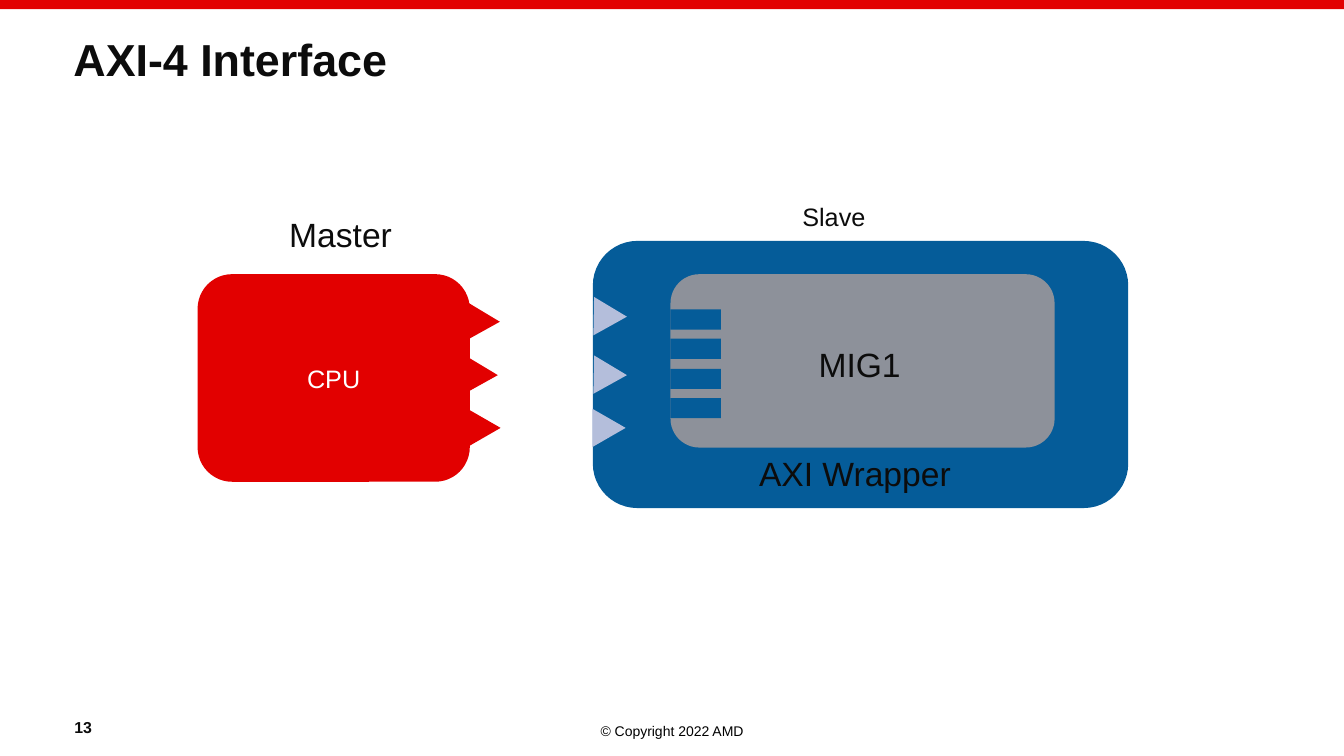
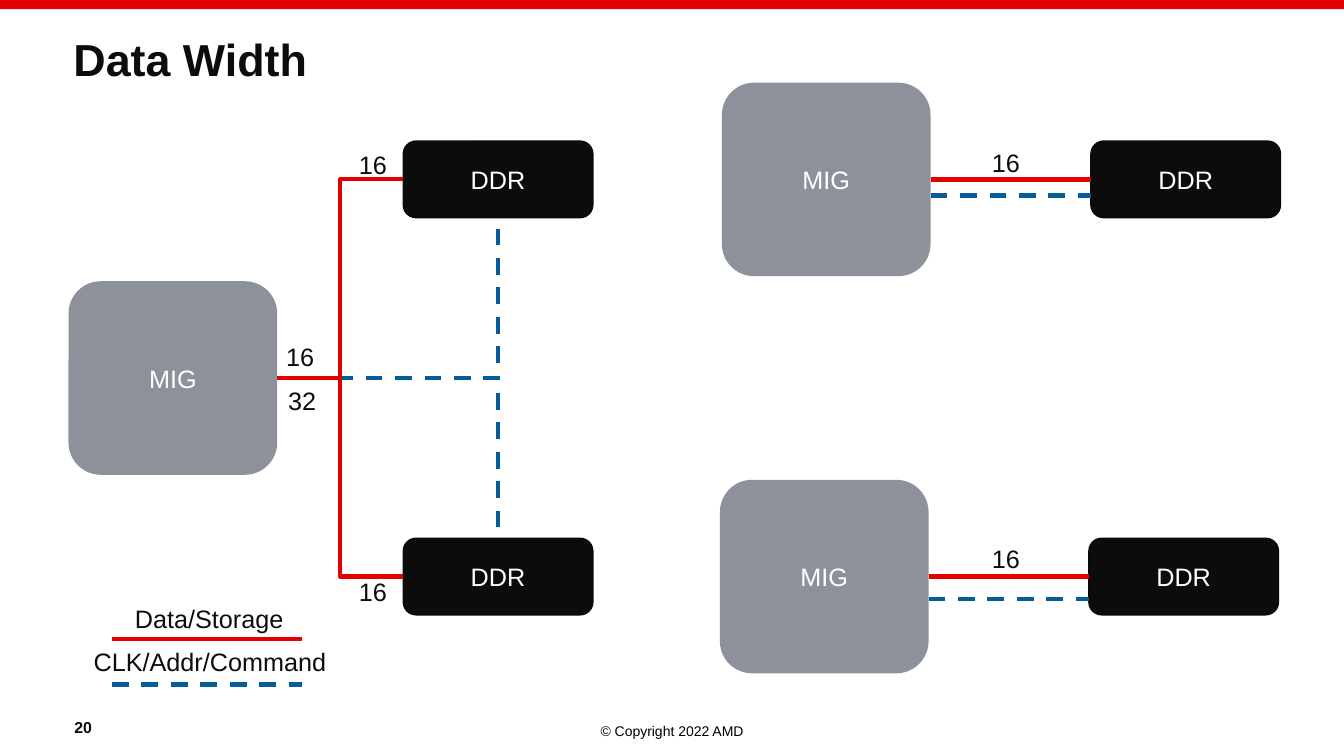
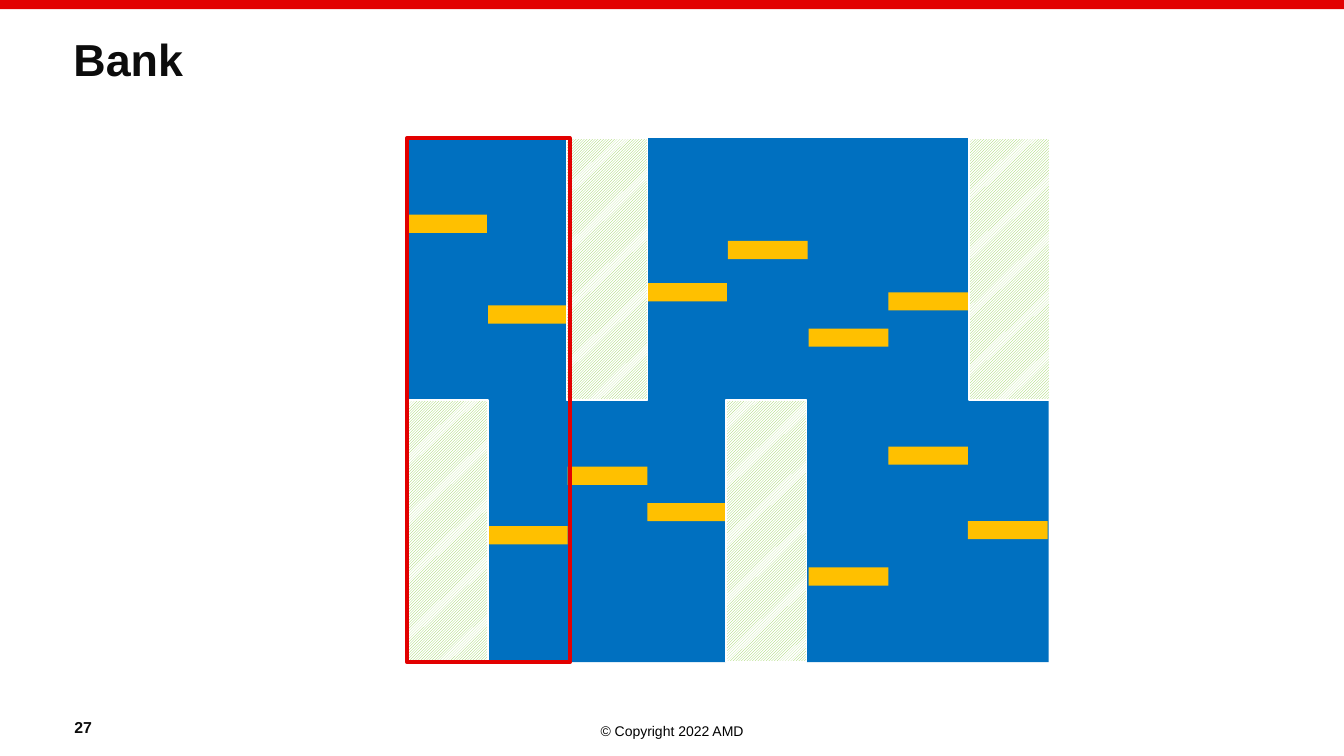
"""Build three slides on memory controllers: AXI-4 interface, data width and bank."""
from lxml.etree import SubElement
from pptx import Presentation
from pptx.dml.color import RGBColor
from pptx.enum.dml import MSO_LINE, MSO_PATTERN
from pptx.enum.shapes import MSO_CONNECTOR, MSO_SHAPE
from pptx.enum.text import MSO_ANCHOR, PP_ALIGN
from pptx.oxml.ns import qn
from pptx.util import Pt

EMU_PER_PX = 9144
SLIDE_WIDTH, SLIDE_HEIGHT = 1333, 750
FONT = "Arial"
COLORS = {
    "red": "E20000", "blue": "055C99", "grey": "8D919A", "ink": "0C0C0C",
    "edge": "090909", "black": "000000", "white": "FFFFFF", "lilac": "B4BEDB",
    "bank": "0070C0", "row": "FFC000", "hatch": "92D050",
}
TOP, LEFT, BOTTOM, RIGHT = range(4)


def px(*lengths):
    return [round(length * EMU_PER_PX) for length in lengths]


def rgb(name):
    return RGBColor.from_string(COLORS[name])


def write(shape, text, size, color, bold=False, align=PP_ALIGN.LEFT, anchor=MSO_ANCHOR.TOP):
    frame = shape.text_frame
    frame.word_wrap = True
    frame.vertical_anchor = anchor
    paragraph = frame.paragraphs[0]
    paragraph.alignment = align
    run = paragraph.add_run()
    run.text = text
    run.font.name = FONT
    run.font.size = Pt(size)
    run.font.bold = bold
    run.font.color.rgb = rgb(color)
    return paragraph


def add_label(slide, box, text, size=18, color="ink", **style):
    return write(slide.shapes.add_textbox(*px(*box)), text, size, color, **style)


def add_block(slide, box, fill=None, kind=MSO_SHAPE.RECTANGLE, line=None, width=1, text=None):
    shape = slide.shapes.add_shape(kind, *px(*box))
    shape.shadow.inherit = False
    if fill:
        shape.fill.solid()
        shape.fill.fore_color.rgb = rgb(fill)
    else:
        shape.fill.background()
    if line:
        shape.line.color.rgb = rgb(line)
        shape.line.width = Pt(width)
    else:
        shape.line.fill.background()
    if text:
        write(shape, text, 18, "white", align=PP_ALIGN.CENTER, anchor=MSO_ANCHOR.MIDDLE)
    return shape


def add_rounded(slide, box, fill, **style):
    return add_block(slide, box, fill, MSO_SHAPE.ROUNDED_RECTANGLE, **style)


def add_port(slide, left, top, rotation, fill):
    port = add_block(slide, (left, top, 38, 33), fill, MSO_SHAPE.ISOSCELES_TRIANGLE)
    port.rotation = rotation


def add_hatch(slide, left, top):
    hatch = add_block(slide, (left, top, 80, 260), line="white")
    hatch.fill.patterned()
    hatch.fill.pattern = MSO_PATTERN.LIGHT_UPWARD_DIAGONAL
    hatch.fill.fore_color.rgb = rgb("hatch")
    hatch.fill.back_color.rgb = rgb("white")


def add_wire(slide, start, end, data, begin=None, finish=None, preset="line"):
    """Draw a solid data wire or a dashed command wire, joined to shapes if given."""
    kind = MSO_CONNECTOR.STRAIGHT if preset == "line" else MSO_CONNECTOR.ELBOW
    wire = slide.shapes.add_connector(kind, *px(*start, *end))
    if begin:
        wire.begin_connect(*begin)
    if finish:
        wire.end_connect(*finish)
    wire.line.color.rgb = rgb("red" if data else "blue")
    wire.line.width = Pt(3)
    if not data:
        wire.line.dash_style = MSO_LINE.DASH
    properties = wire._element.spPr
    properties.find(qn("a:prstGeom")).set("prst", preset)
    SubElement(properties, qn("a:effectLst"))


def add_slide(presentation, title, number):
    slide = presentation.slides.add_slide(presentation.slide_layouts[6])
    add_label(slide, (0, 712, SLIDE_WIDTH, 27), "© Copyright 2022 AMD", 10, "black",
              align=PP_ALIGN.CENTER)
    add_block(slide, (0, 0, SLIDE_WIDTH, 9), "red")
    heading = add_label(slide, (63, 33, 1207, 64), title, 32, bold=True)
    heading.line_spacing = 0.9
    add_label(slide, (64, 696, 107, 40), number, 11.3, bold=True, anchor=MSO_ANCHOR.BOTTOM)
    return slide


def build_interface(presentation):
    slide = add_slide(presentation, "AXI-4 Interface", "13")
    add_rounded(slide, (588, 239, 531, 265), "blue")
    add_rounded(slide, (196, 272, 270, 206), "red", text="CPU")
    add_rounded(slide, (665, 272, 381, 172), "grey")
    add_label(slide, (802, 336, 157, 50), "MIG1", 24)
    add_label(slide, (743, 444, 328, 50), "AXI Wrapper", 24)
    add_label(slide, (277, 207, 328, 50), "Master", 24)
    add_label(slide, (786, 195, 400, 40), "Slave")
    ports = {
        "red": [(452, 307, 211), (450, 360, 211), (461, 408, 90)],
        "lilac": [(578, 302, 211), (578, 360, 211), (585, 408, 90)],
    }
    for fill, places in ports.items():
        for left, top, rotation in places:
            add_port(slide, left, top, rotation, fill)
    for pin in range(4):
        add_block(slide, (665, 307 + round(pin * 88 / 3), 50, 20), "blue")


def add_controller(slide, left, middle):
    return add_rounded(slide, (left, middle - 96, 207, 192), "grey", text="MIG")


def add_memory(slide, left, middle):
    return add_rounded(slide, (left, middle - 38, 188, 76), "ink", line="edge", text="DDR")


def build_data_width(presentation):
    slide = add_slide(presentation, "Data Width", "20")
    upper, centre, lower = 178, 375, 572
    shared = add_controller(slide, 68, centre)
    memories = [(add_memory(slide, 400, upper), upper, upper + 38, BOTTOM),
                (add_memory(slide, 400, lower), lower, lower - 38, TOP)]
    start = (275, centre)
    for memory, middle, edge, side in memories:
        add_wire(slide, start, (494, edge), False, (shared, RIGHT), (memory, side),
                 "bentConnector2")
    for memory, middle, edge, side in memories:
        add_wire(slide, start, (400, middle), True, (shared, RIGHT), (memory, LEFT),
                 "bentConnector3")
    for left, middle, gap in ((716, upper, 16), (714, lower, 22)):
        controller = add_controller(slide, left, middle)
        memory = add_memory(slide, left + 366, middle)
        begin, end = left + 207, left + 366
        add_wire(slide, (begin, middle), (end, middle), True, (controller, RIGHT), (memory, LEFT))
        add_wire(slide, (begin, middle + gap), (end, middle + gap), False)
    for left, top, bits in ((276, 377, "32"), (346, 143, "16"), (346, 567, "16"),
                            (274, 334, "16"), (974, 141, "16"), (974, 534, "16")):
        add_label(slide, (left, top, 55, 40), bits)
    for left, top, text, data in ((124, 594, "Data/Storage", True),
                                  (83, 636, "CLK/Addr/Command", False)):
        add_label(slide, (left, top, 289, 40), text)
        wire_top = 634 if data else 679
        add_wire(slide, (111, wire_top), (300, wire_top), data)


def build_bank(presentation):
    slide = add_slide(presentation, "Bank", "27")
    left, top, width, height = 404, 137, 636, 520
    add_block(slide, (left, top, width, height), "bank")
    rows_by_column = ((213,), (303, 522), (463,), (281, 499), (239,), (326, 563),
                      (290, 443), (517,))
    for column, row_tops in enumerate(rows_by_column):
        for row_top in row_tops:
            row_left = left + round(column * width / len(rows_by_column))
            add_block(slide, (row_left, row_top, 79, 18), "row")
    half = top + height // 2
    for hatch_left, hatch_top in ((404, half), (562, top), (720, half), (961, top)):
        add_hatch(slide, hatch_left, hatch_top)
    add_block(slide, (left, top, 161, height), line="red", width=3)


def main():
    presentation = Presentation()
    presentation.slide_width, presentation.slide_height = px(SLIDE_WIDTH, SLIDE_HEIGHT)
    build_interface(presentation)
    build_data_width(presentation)
    build_bank(presentation)
    presentation.save("out.pptx")


if __name__ == "__main__":
    main()
